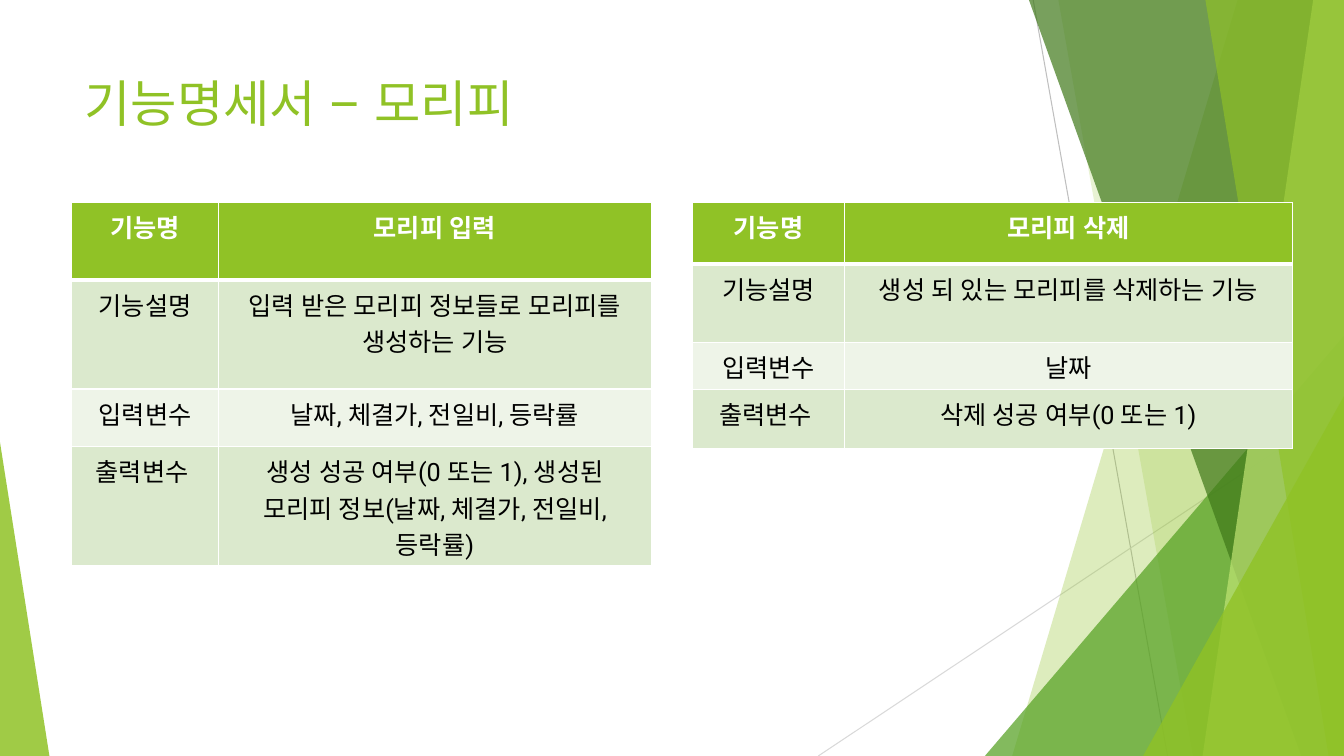
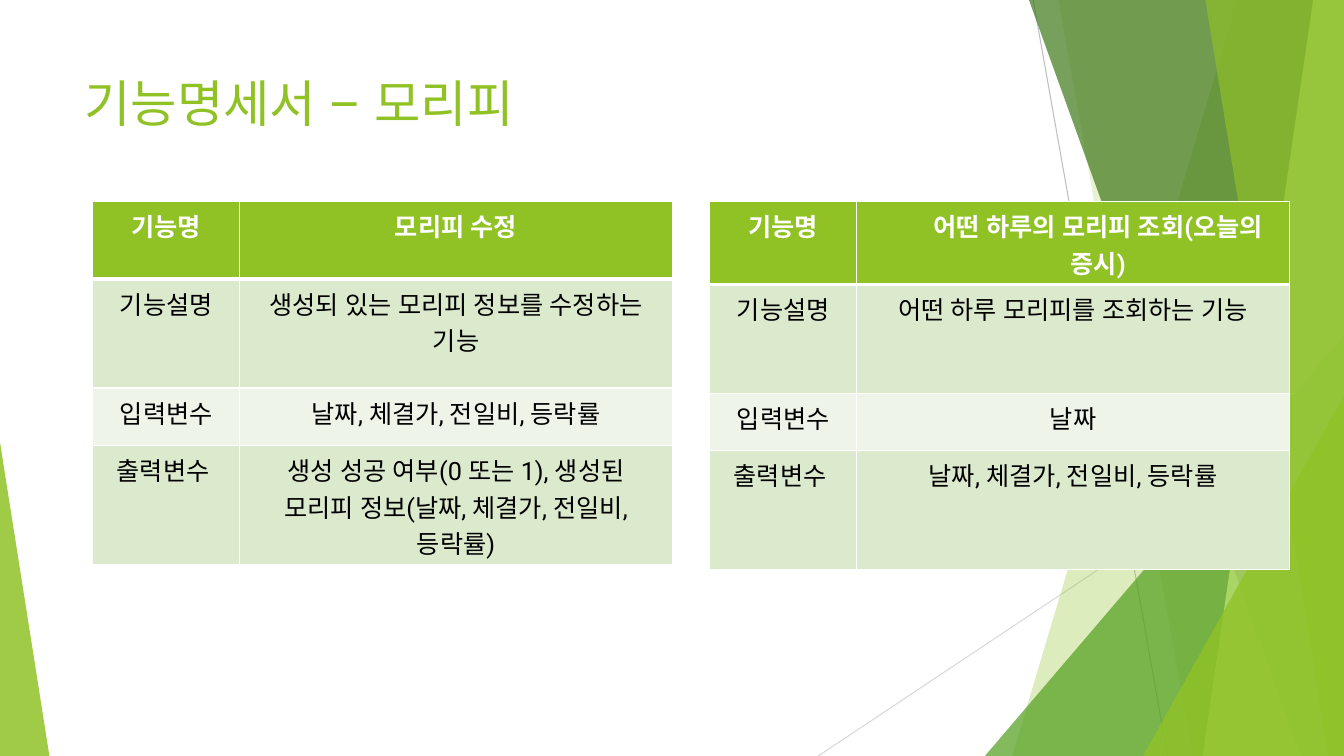
"""Build two slides of function specification tables over a faceted green backdrop."""
from lxml import etree
from pptx import Presentation
from pptx.dml.color import RGBColor
from pptx.enum import shapes, text
from pptx.oxml import ns
from pptx.util import Pt

WIDE, HIGH = 960, 540
FONT = "Roboto"
COLORS = {
    "lime": "90C226", "leaf": "54A021", "moss": "3F7819", "pale": "C0E474",
    "mint": "DBE9CD", "mist": "EEF4E8", "gray": "BFBFBF", "light": "D9D9D9",
    "white": "FFFFFF", "black": "000000",
}
RAYS = [((738, 0), (834, HIGH), "gray"), ((WIDE, 290), (584.5, HIGH), "light")]
FACETS = [
    ("band", 884, 723, "lime", 30),
    ("band", 756, 852, "lime", 20),
    ("peak", (703.5, 239.8, 256.5), 1, "leaf", 72),
    ("band", 735, 929.5, "moss", 70),
    ("band", 938, 859, "pale", 70),
    ("band", 861, 949, "lime", 65),
    ("peak", (816.5, 283, 143.5), 1, "lime", 80),
    ("peak", (0, 316, 35.3), 0, "lime", 85),
]
TITLE = "기능명세서 – 모리피"
LABELS = ["기능명", "기능설명", "입력변수", "출력변수 "]
FILLS = ["lime", "mint", "mist", "mint"]
FIELDS = "날짜, 체결가, 전일비, 등락률"
RESULT = f"생성 성공 여부(0 또는 1), 생성된 모리피 정보({FIELDS})"
TALL = ((105.1, 308.9), (55.4, 77.8, 41, 85))
SHORT = ((108.7, 319.7), (43.9, 56.2, 32.4, 42.5))
SLIDES = [
    [
        {"at": (51.1, 144.7), "grid": TALL, "items": [
            "모리피 입력", "입력 받은 모리피 정보들로 모리피를 생성하는 기능", FIELDS, RESULT]},
        {"at": (494.6, 144.7), "grid": SHORT, "items": [
            "모리피 삭제", "생성 되 있는 모리피를 삭제하는 기능", "날짜", "삭제 성공 여부(0 또는 1)"]},
    ],
    [
        {"at": (66.2, 144), "grid": TALL, "items": [
            "모리피 수정", "생성되 있는 모리피 정보를 수정하는 기능", FIELDS, RESULT]},
        {"at": (506.9, 144), "grid": TALL, "indent": 36, "items": [
            "어떤 하루의 모리피 조회(오늘의 증시)", "어떤 하루 모리피를 조회하는 기능", "날짜", FIELDS]},
    ],
]


def color(name):
    return RGBColor.from_string(COLORS[name])


def sub(node, tag, **attrs):
    return etree.SubElement(node, ns.qn(tag), **attrs)


def paint(shape, name, alpha):
    shape.shadow.inherit = False
    shape.fill.solid()
    shape.fill.fore_color.rgb = color(name)
    shape.line.fill.background()
    tint = shape._element.spPr.find(".//" + ns.qn("a:srgbClr"))
    sub(tint, "a:alpha", val=str(alpha * 1000))


def add_ray(slide, start, end, name):
    ray = slide.shapes.add_connector(
        shapes.MSO_CONNECTOR.STRAIGHT, *map(Pt, start + end))
    ray.line.color.rgb = color(name)
    ray.line.width = Pt(0.75)
    sub(ray._element.spPr, "a:effectLst")


def add_band(slide, top, base):
    pen = slide.shapes.build_freeform(Pt(top), 0)
    corners = [(WIDE, 0), (WIDE, HIGH), (base, HIGH)]
    pen.add_line_segments([(Pt(x), Pt(y)) for x, y in corners], close=True)
    return pen.convert_to_shape()


def add_peak(slide, place, tip):
    left, top, width = place
    peak = slide.shapes.add_shape(
        shapes.MSO_SHAPE.ISOSCELES_TRIANGLE,
        Pt(left), Pt(top), Pt(width), Pt(HIGH - top))
    peak.adjustments[0] = tip
    return peak


def add_decor(slide):
    for ray in RAYS:
        add_ray(slide, *ray)
    makers = {"band": add_band, "peak": add_peak}
    for kind, first, second, name, alpha in FACETS:
        paint(makers[kind](slide, first, second), name, alpha)


def add_run(par, words, size, name, bold=False):
    run = par.add_run()
    run.text = words
    run.font.size = Pt(size)
    run.font.name = FONT
    run.font.bold = bold
    run.font.color.rgb = color(name)
    sub(run._r.get_or_add_rPr(), "a:ea", typeface=FONT)


def add_title(slide):
    box = slide.shapes.add_textbox(Pt(53.3), Pt(48), Pt(677), Pt(104))
    box.text_frame.word_wrap = True
    add_run(box.text_frame.paragraphs[0], TITLE, 36, "lime")


def set_edges(cell, row):
    props = cell._tc.get_or_add_tcPr()
    thick = {0: "B", 1: "T"}.get(row)
    for side in "LRTB":
        width = Pt(3 if side == thick else 1)
        edge = sub(props, f"a:ln{side}", w=str(width))
        sub(sub(edge, "a:solidFill"), "a:srgbClr", val=COLORS["white"])


def fill_cell(cell, row, words, indent=0):
    set_edges(cell, row)
    cell.fill.solid()
    cell.fill.fore_color.rgb = color(FILLS[row])
    par = cell.text_frame.paragraphs[0]
    par.alignment = text.PP_ALIGN.CENTER
    par.line_spacing = Pt(26)
    if indent:
        par.level = 1
        par._p.get_or_add_pPr().set("marL", str(Pt(indent)))
    head = row == 0
    add_run(par, words, 18, "white" if head else "black", head)


def add_grid(slide, data):
    cols, rows = data["grid"]
    frame = slide.shapes.add_table(
        len(rows), len(cols), *map(Pt, data["at"]), Pt(sum(cols)), Pt(sum(rows)))
    table = frame.table
    table.horz_banding = False
    for col, width in zip(table.columns, cols):
        col.width = Pt(width)
    for row, height in enumerate(rows):
        table.rows[row].height = Pt(height)
        fill_cell(table.cell(row, 0), row, LABELS[row])
        indent = data.get("indent", 0) if row == 0 else 0
        fill_cell(table.cell(row, 1), row, data["items"][row], indent)


def main():
    deck = Presentation()
    deck.slide_width, deck.slide_height = Pt(WIDE), Pt(HIGH)
    for grids in SLIDES:
        slide = deck.slides.add_slide(deck.slide_layouts[6])
        add_decor(slide)
        add_title(slide)
        for data in grids:
            add_grid(slide, data)
    deck.save("out.pptx")


if __name__ == "__main__":
    main()
